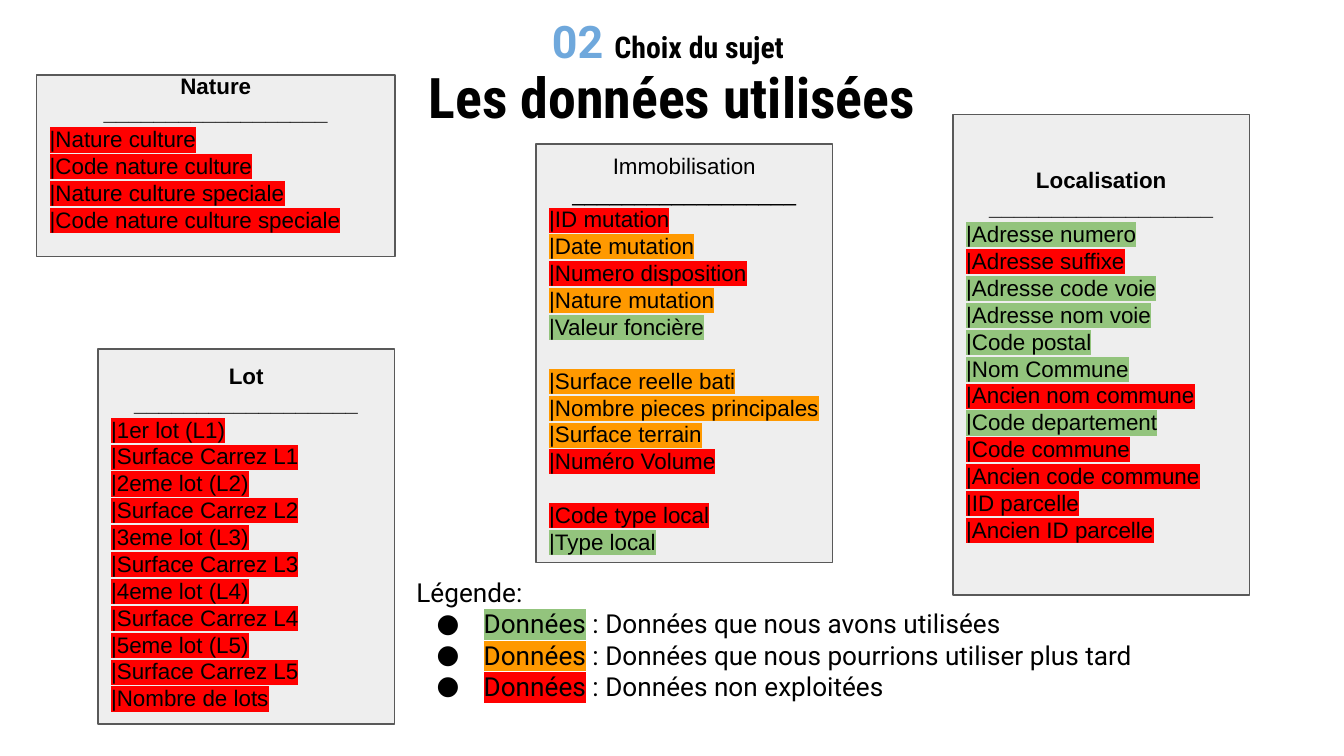
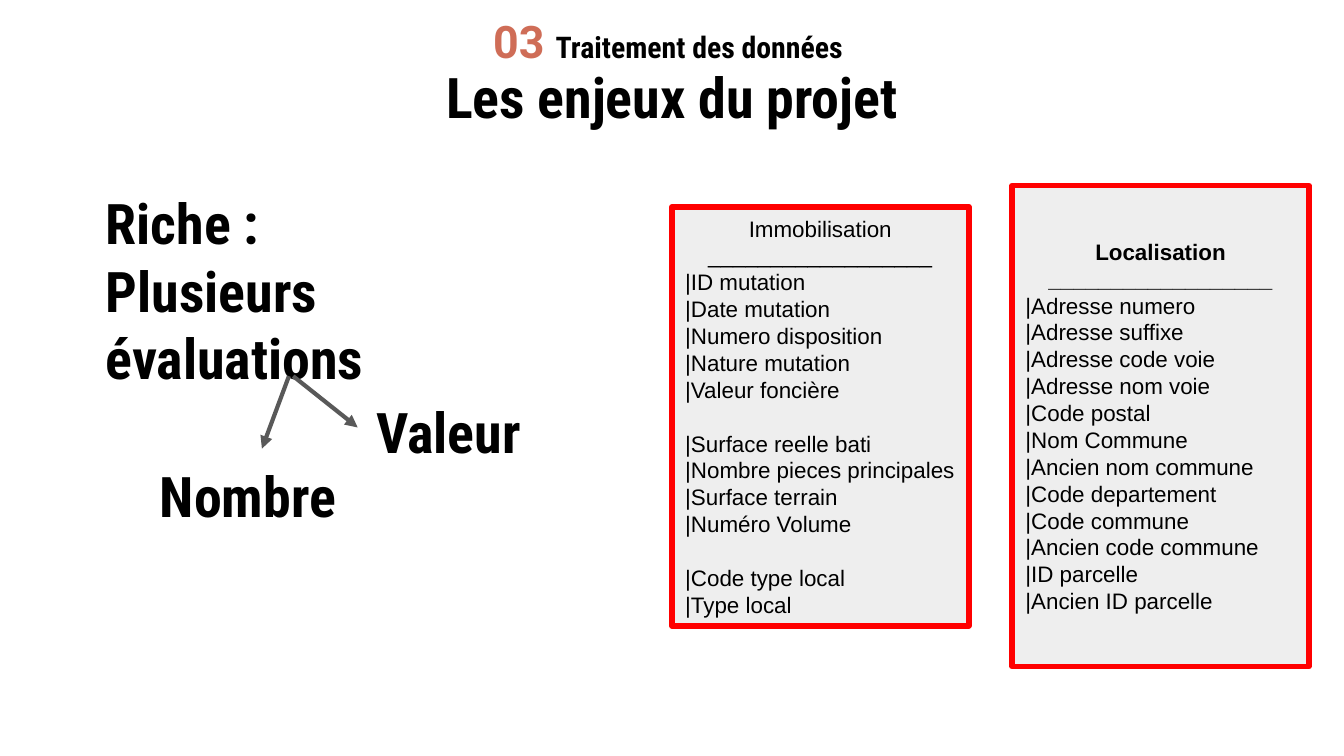
import pptx
import pptx.dml.color
import pptx.enum.shapes
import pptx.enum.text
import pptx.oxml.ns
import pptx.util
from lxml import etree
from pptx.util import Cm, Pt

rgb = pptx.dml.color.RGBColor.from_string
qn = pptx.oxml.ns.qn
CENTER = pptx.enum.text.PP_ALIGN.CENTER
LEFT = pptx.enum.text.PP_ALIGN.LEFT
MIDDLE = pptx.enum.text.MSO_ANCHOR.MIDDLE
TOP = pptx.enum.text.MSO_ANCHOR.TOP

BLACK, GREY, LIGHT = "000000", "595959", "EEEEEE"
GREEN, ORANGE, RED = "93C47D", "FF9900", "FF0000"
STATUS = {"G": GREEN, "O": ORANGE, "R": RED}
TITLE_FONT, TEXT_FONT, CARD_FONT = "Roboto Condensed", "Roboto", "Arial"
INSET = Cm(0.25)


def add_run(paragraph, text, highlight=None):
    run = paragraph.add_run()
    run.text = text
    if highlight:
        mark = etree.SubElement(run._r.get_or_add_rPr(), qn("a:highlight"))
        etree.SubElement(mark, qn("a:srgbClr"), val=highlight)
    return run


def set_bullet(paragraph, char=None):
    properties = paragraph._p.get_or_add_pPr()
    properties.set("marL", str(Cm(1.27) if char else 0))
    properties.set("indent", str(Cm(-0.89) if char else 0))
    if char:
        colour = etree.SubElement(properties, qn("a:buClr"))
        etree.SubElement(colour, qn("a:srgbClr"), val=BLACK)
        etree.SubElement(properties, qn("a:buFont"), typeface=TEXT_FONT)
        etree.SubElement(properties, qn("a:buChar"), char=char)
    else:
        etree.SubElement(properties, qn("a:buNone"))
    paragraph.space_before = Pt(0)


prs = pptx.Presentation()
prs.slide_width, prs.slide_height = Cm(25.4), Cm(14.29)

# Both slides: section line, title and one body area
headers = [
    ("02", "6FA8DC", "Choix du sujet", "Les données utilisées",
     (7.62, 10.64, 15.98, 3.35), TOP),
    ("03", "CF6D57", "Traitement des données", "Les enjeux du projet",
     (1.75, 4.8, 9.5, 1.35), MIDDLE),
]
slides, bodies = [], []
for number, accent, section_name, title_text, body_box, body_anchor in headers:
    slide = prs.slides.add_slide(prs.slide_layouts[3])
    title, section, body = slide.placeholders
    for area, box, anchor in ((title, (1.27, 1.14, 22.86, 1.35), MIDDLE),
                              (section, (0.51, 0.1, 24.23, 1.35), MIDDLE),
                              (body, body_box, body_anchor)):
        area.left, area.top, area.width, area.height = map(Cm, box)
        frame = area.text_frame
        frame.auto_size = pptx.enum.text.MSO_AUTO_SIZE.NONE
        frame.word_wrap = True
        frame.vertical_anchor = anchor
        frame.margin_left = frame.margin_right = INSET
        frame.margin_top = frame.margin_bottom = INSET

    heading = title.text_frame.paragraphs[0]
    add_run(heading, title_text)
    heading.alignment = CENTER
    heading.font.name, heading.font.size = TITLE_FONT, Pt(30)
    heading.font.bold, heading.font.color.rgb = True, rgb(BLACK)

    section_line = section.text_frame.paragraphs[0]
    set_bullet(section_line)
    section_line.alignment = CENTER
    section_line.font.bold = True
    for text, font_name, size, colour in ((number + " ", TEXT_FONT, 24, accent),
                                          (section_name, TITLE_FONT, 16, BLACK)):
        font = add_run(section_line, text).font
        font.name, font.size, font.color.rgb = font_name, Pt(size), rgb(colour)
    slides.append(slide)
    bodies.append(body.text_frame)

data_slide, issues_slide = slides
legend, evaluations = bodies

# Legend of the data slide
legend_lines = [
    (None, "Légende:"),
    (GREEN, " : Données que nous avons utilisées"),
    (ORANGE, " : Données que nous pourrions utiliser plus tard"),
    (RED, " : Données non exploitées"),
]
for status, text in legend_lines:
    line = legend.add_paragraph() if status else legend.paragraphs[0]
    set_bullet(line, "●" if status else None)
    if status:
        add_run(line, "Données", status)
    add_run(line, text)
    line.font.name, line.font.size = TEXT_FONT, Pt(14)
    line.font.color.rgb = rgb(BLACK)

# Fields of each table in groups, with one status letter per field
lots = []
for lot in range(1, 6):
    lots += [f"{lot}{'er' if lot == 1 else 'eme'} lot (L{lot})", f"Surface Carrez L{lot}"]
tables = {
    "Localisation": [
        ("GRGGGGRGRRRR", [
            "Adresse numero", "Adresse suffixe", "Adresse code voie", "Adresse nom voie",
            "Code postal", "Nom Commune", "Ancien nom commune", "Code departement",
            "Code commune", "Ancien code commune", "ID parcelle", "Ancien ID parcelle"]),
    ],
    "Lot": [("R" * 11, lots + ["Nombre de lots"])],
    "Immobilisation": [
        ("ROROG", ["ID mutation", "Date mutation", "Numero disposition",
                   "Nature mutation", "Valeur foncière"]),
        ("OOOR", ["Surface reelle bati", "Nombre pieces principales",
                  "Surface terrain", "Numéro Volume"]),
        ("RG", ["Code type local", "Type local"]),
    ],
    "Nature": [
        ("RRRR", ["Nature culture", "Code nature culture", "Nature culture speciale",
                  "Code nature culture speciale"]),
    ],
}

# Table cards: highlighted on the data slide, outlined in red on the issues slide
cards = [
    (data_slide, "Localisation", (18.01, 2.16, 5.61, 9.09)),
    (data_slide, "Lot", (1.85, 6.6, 5.61, 7.09)),
    (data_slide, "Immobilisation", (10.13, 2.72, 5.61, 7.92)),
    (data_slide, "Nature", (0.69, 1.42, 6.78, 3.43)),
    (issues_slide, "Localisation", (19.13, 3.51, 5.61, 9.09)),
    (issues_slide, "Immobilisation", (12.7, 3.91, 5.61, 7.92)),
]
for slide, table_name, box in cards:
    highlighted = slide is data_slide
    card = slide.shapes.add_shape(pptx.enum.shapes.MSO_SHAPE.RECTANGLE, *map(Cm, box))
    card.shadow.inherit = False
    card.fill.solid()
    card.fill.fore_color.rgb = rgb(LIGHT)
    card.line.color.rgb = rgb(GREY if highlighted else RED)
    card.line.width = Pt(0.75 if highlighted else 3)
    frame = card.text_frame
    frame.word_wrap = True
    frame.vertical_anchor = MIDDLE
    frame.margin_left = frame.margin_right = frame.margin_top = INSET
    frame.margin_bottom = Cm(0.76) if table_name == "Nature" else INSET

    for text in (table_name, "_" * 18):
        line = frame.paragraphs[0] if text == table_name else frame.add_paragraph()
        add_run(line, text)
        line.alignment = CENTER
        line.font.bold = table_name != "Immobilisation"
    for group, (statuses, fields) in enumerate(tables[table_name]):
        for position, (status, field) in enumerate(zip(statuses, fields)):
            line = frame.add_paragraph()
            add_run(line, "|" + field, STATUS[status] if highlighted else None)
            line.alignment = LEFT
            if group and position == 0:
                line.space_before = Pt(14.4)
    for line in frame.paragraphs:
        line.font.name, line.font.size = CARD_FONT, Pt(12)
        line.font.color.rgb = rgb(BLACK)

# Evaluations and their two branches
evaluation_lines = [evaluations.paragraphs[0], evaluations.add_paragraph()]
for line, text in zip(evaluation_lines, ("Riche :", "Plusieurs évaluations")):
    set_bullet(line)
    add_run(line, text)

branches = [
    ("Valeur", (6.86, 7.26, 3.4, 1.6), (5.54, 7.11, 6.76, 8.08)),
    ("Nombre", (2.77, 8.48, 4.09, 2.77), (5.46, 7.11, 4.95, 8.48)),
]
for text, box, ends in branches:
    branch = issues_slide.shapes.add_textbox(*map(Cm, box)).text_frame
    branch.word_wrap = True
    branch.margin_left = branch.margin_right = INSET
    branch.margin_top = branch.margin_bottom = INSET
    add_run(branch.paragraphs[0], text)
    evaluation_lines.append(branch.paragraphs[0])

    arrow = issues_slide.shapes.add_connector(
        pptx.enum.shapes.MSO_CONNECTOR.STRAIGHT, *map(Cm, ends))
    arrow.line.color.rgb = rgb(GREY)
    arrow.line.width = Pt(2.25)
    etree.SubElement(arrow.line._get_or_add_ln(), qn("a:tailEnd"), type="triangle")
    etree.SubElement(arrow._element.spPr, qn("a:effectLst"))

for line in evaluation_lines:
    line.font.name, line.font.size = TITLE_FONT, Pt(30)
    line.font.bold, line.font.color.rgb = True, rgb(BLACK)

prs.save("out.pptx")
